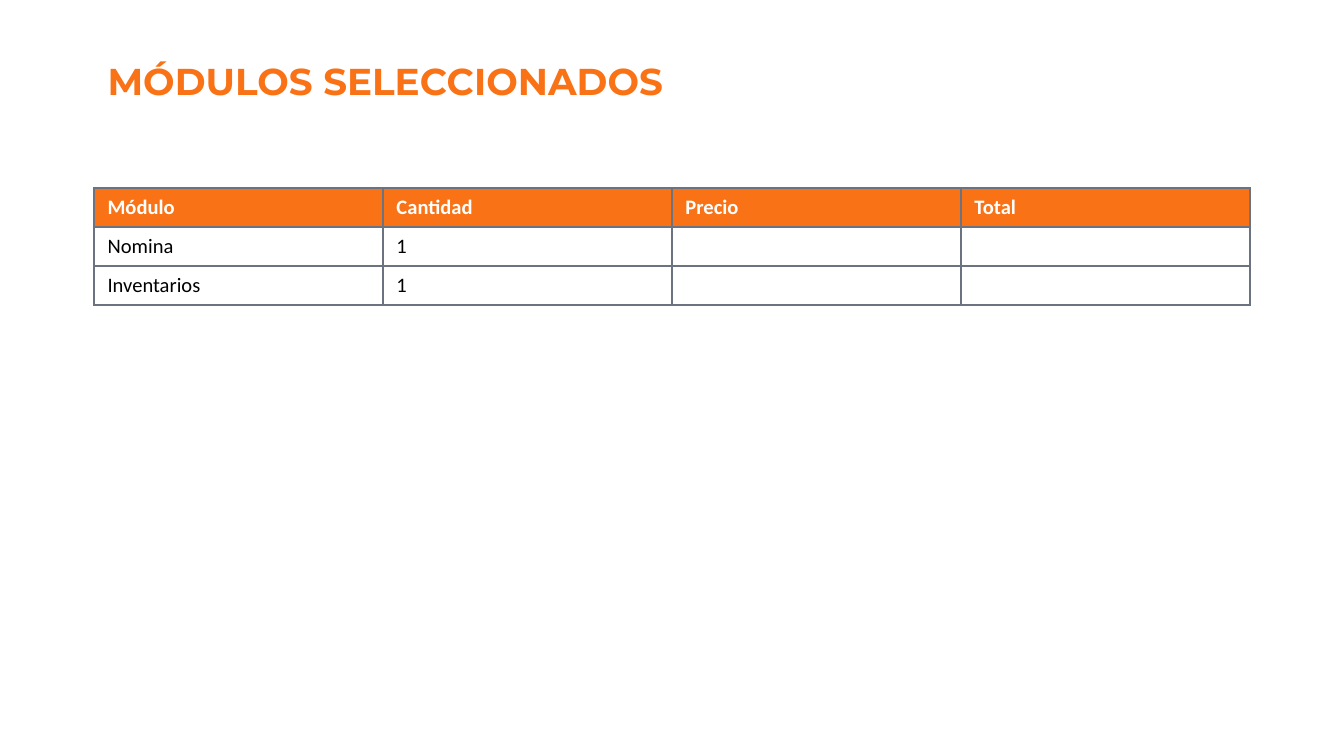
from dataclasses import dataclass

from lxml.etree import SubElement
from pptx import Presentation
from pptx.dml.color import RGBColor
from pptx.enum.text import MSO_ANCHOR, MSO_AUTO_SIZE, PP_ALIGN
from pptx.oxml.ns import qn
from pptx.util import Inches, Pt

ORANGE = RGBColor(0xF9, 0x73, 0x16)
GRAY = RGBColor(0x6B, 0x72, 0x80)
WHITE = RGBColor(0xFF, 0xFF, 0xFF)
BLACK = RGBColor(0x00, 0x00, 0x00)

SLIDE_WIDTH = Inches(10)
SLIDE_HEIGHT = SLIDE_WIDTH * 9 // 16
TITLE_ONLY_LAYOUT = 5
LEFT = Inches(0.7)
TABLE_TOP = Inches(1.4)
COLUMN_WIDTH = Inches(2.15)
ROW_HEIGHT = Inches(0.29)
BORDER_WIDTH = Pt(1)

TITLE_FONT = {"name": "Montserrat", "size": Pt(20), "bold": True}
HEADER_FONT = {"name": "Calibri", "size": Pt(11), "bold": True}
BODY_FONT = {**HEADER_FONT, "bold": False}


@dataclass(frozen=True)
class Module:
    name: str
    quantity: int
    price: str = ""
    total: str = ""

    def texts(self) -> list[str]:
        return [self.name, str(self.quantity), self.price, self.total]


HEADERS = ["Módulo", "Cantidad", "Precio", "Total"]
MODULES = [Module("Nomina", 1), Module("Inventarios", 1)]


def format_font(font, values: dict, color: RGBColor) -> None:
    for name, value in values.items():
        setattr(font, name, value)
    font.color.rgb = color


def add_title(slide, text: str) -> None:
    title = slide.shapes.title
    title.left, title.top = LEFT, Inches(0.4)
    title.width, title.height = Inches(7.5), Inches(0.4)
    frame = title.text_frame
    frame.text = text
    frame.word_wrap = True
    frame.auto_size = MSO_AUTO_SIZE.NONE
    frame.vertical_anchor = MSO_ANCHOR.MIDDLE
    paragraph = frame.paragraphs[0]
    paragraph.alignment = PP_ALIGN.LEFT
    format_font(paragraph.runs[0].font, TITLE_FONT, ORANGE)


def add_borders(cell) -> None:
    properties = cell._tc.get_or_add_tcPr()
    for side in ("lnL", "lnR", "lnT", "lnB"):
        line = SubElement(properties, qn(f"a:{side}"), w=str(BORDER_WIDTH))
        fill = SubElement(line, qn("a:solidFill"))
        SubElement(fill, qn("a:srgbClr"), val=str(GRAY))


def fill_cell(cell, text: str, is_header: bool) -> None:
    add_borders(cell)
    if is_header:
        cell.fill.solid()
        cell.fill.fore_color.rgb = ORANGE
    else:
        cell.fill.background()
    paragraph = cell.text_frame.paragraphs[0]
    font_values = HEADER_FONT if is_header else BODY_FONT
    if text:
        run = paragraph.add_run()
        run.text = text
        format_font(run.font, font_values, WHITE if is_header else BLACK)
    else:
        # An empty cell needs a small font too, or its row grows
        size = str(font_values["size"].centipoints)
        SubElement(paragraph._p, qn("a:endParaRPr"), sz=size)


def add_module_table(slide, headers: list[str], modules: list[Module]) -> None:
    rows = [headers, *(module.texts() for module in modules)]
    table = slide.shapes.add_table(
        len(rows), len(headers), LEFT, TABLE_TOP,
        COLUMN_WIDTH * len(headers), ROW_HEIGHT * len(rows),
    ).table
    table.first_row = False
    table.horz_banding = False
    for row_index, texts in enumerate(rows):
        for column_index, text in enumerate(texts):
            fill_cell(table.cell(row_index, column_index), text, row_index == 0)


def main() -> None:
    presentation = Presentation()
    presentation.slide_width = SLIDE_WIDTH
    presentation.slide_height = SLIDE_HEIGHT
    layout = presentation.slide_layouts[TITLE_ONLY_LAYOUT]
    slide = presentation.slides.add_slide(layout)

    # Heading
    add_title(slide, "MÓDULOS SELECCIONADOS")

    # Selected modules
    add_module_table(slide, HEADERS, MODULES)

    presentation.save("out.pptx")


if __name__ == "__main__":
    main()
